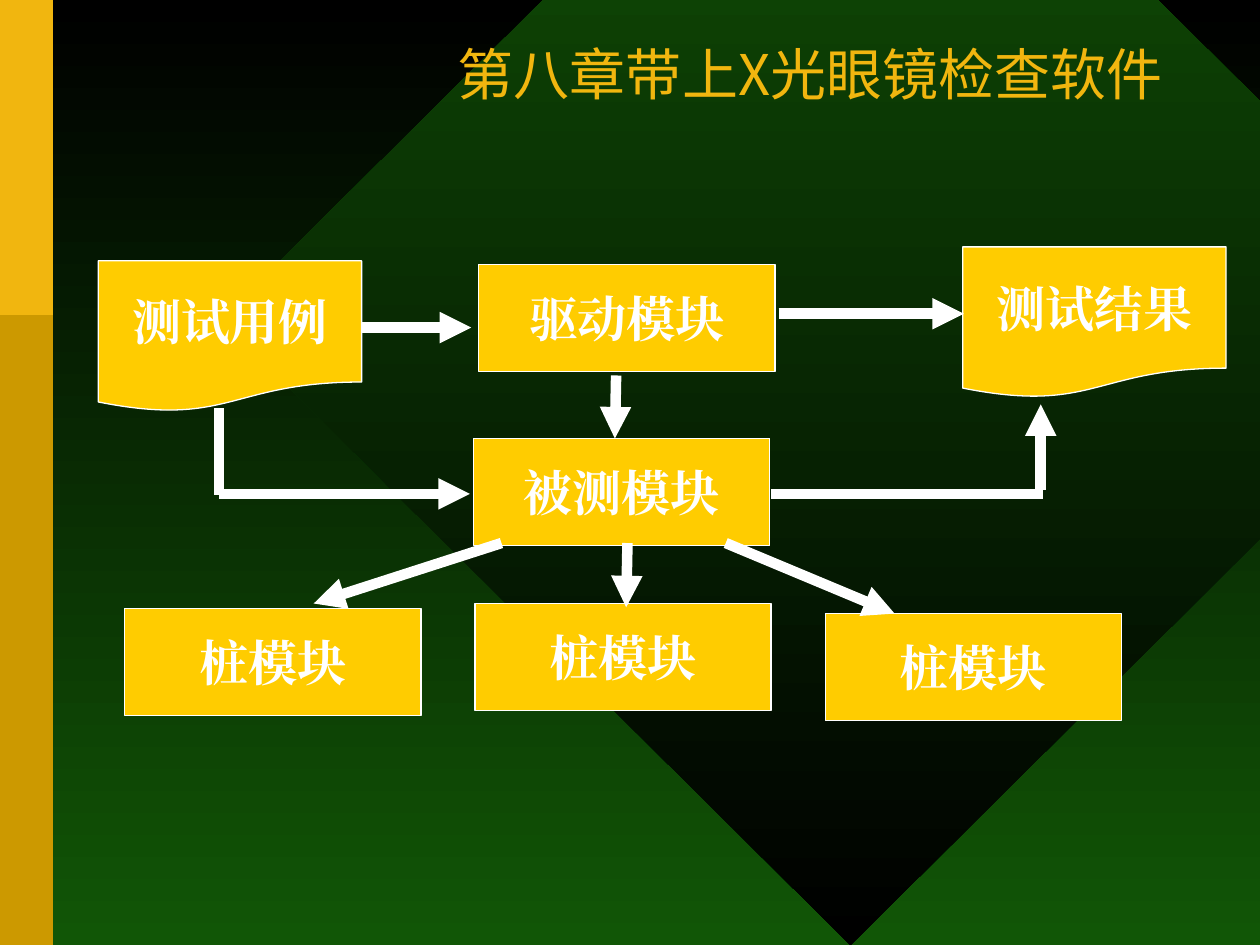
import pptx
import pptx.dml.color
import pptx.enum.shapes
import pptx.enum.text
import pptx.oxml
import pptx.oxml.ns
import pptx.util
from pptx.util import Inches

COLORS = {
    "black": "000000",
    "green": "115606",
    "dark gold": "CC9900",
    "gold": "F1B60F",
    "yellow": "FFCC00",
    "white": "FFFFFF",
}
SHAPE = pptx.enum.shapes.MSO_SHAPE
ALIGN = pptx.enum.text.PP_ALIGN
MIDDLE = pptx.enum.text.MSO_ANCHOR.MIDDLE
DRAWING_NS = pptx.oxml.ns.nsdecls("a")


def rgb(name):
    return pptx.dml.color.RGBColor.from_string(COLORS[name])


def format_text(text_frame, font_name, size, color, bold, alignment):
    text_frame.vertical_anchor = MIDDLE
    paragraph = text_frame.paragraphs[0]
    paragraph.alignment = alignment
    run = paragraph.runs[0]
    run.font.name = font_name
    run.font.size = pptx.util.Pt(size)
    run.font.bold = bold
    run.font.color.rgb = rgb(color)
    east_asian = pptx.oxml.parse_xml(f'<a:ea {DRAWING_NS} typeface="{font_name}"/>')
    run.font._element.find(pptx.oxml.ns.qn("a:latin")).addnext(east_asian)


presentation = pptx.Presentation()
presentation.slide_width = Inches(10)
presentation.slide_height = Inches(7.5)
slide = presentation.slides.add_slide(presentation.slide_layouts[5])

# Background, large diamond and side bars
diamond = slide.shapes.add_shape(
    SHAPE.DIAMOND, Inches(1.75), Inches(-2.42), Inches(10), Inches(9.92))
diamond.shadow.inherit = False
diamond.line.fill.background()
for fill, top_color, bottom_color in (
    (slide.background.fill, "black", "green"),
    (diamond.fill, "green", "black"),
):
    fill.gradient()
    fill.gradient_angle = 270
    for stop, color, position in zip(fill.gradient_stops, (top_color, bottom_color), (0, 1)):
        stop.color.rgb = rgb(color)
        stop.position = position

for height, color in ((7.5, "dark gold"), (2.5, "gold")):
    bar = slide.shapes.add_shape(SHAPE.RECTANGLE, 0, 0, Inches(0.42), Inches(height))
    bar.shadow.inherit = False
    bar.fill.solid()
    bar.fill.fore_color.rgb = rgb(color)
    bar.line.fill.background()

# Title, brought in front of the diamond
title = slide.shapes.title
title.left, title.top = Inches(1.08), Inches(0)
title.width, title.height = Inches(8.25), Inches(1.25)
title.text_frame.text = "第八章带上X光眼镜检查软件"
title.text_frame.paragraphs[0].line_spacing = 0.85
format_text(title.text_frame, "Noto Sans CJK SC", 32, "gold", False, ALIGN.RIGHT)
title.element.getparent().append(title.element)

# Modules and documents: text, preset, left, top
box_sizes = {
    SHAPE.FLOWCHART_PROCESS: (2.35, 0.85),
    SHAPE.FLOWCHART_DOCUMENT: (2.09, 1.2),
}
boxes = (
    ("测试用例", SHAPE.FLOWCHART_DOCUMENT, 0.78, 2.07),
    ("驱动模块", SHAPE.FLOWCHART_PROCESS, 3.8, 2.1),
    ("测试结果", SHAPE.FLOWCHART_DOCUMENT, 7.64, 1.96),
    ("被测模块", SHAPE.FLOWCHART_PROCESS, 3.76, 3.48),
    ("桩模块", SHAPE.FLOWCHART_PROCESS, 0.99, 4.83),
    ("桩模块", SHAPE.FLOWCHART_PROCESS, 3.77, 4.79),
    ("桩模块", SHAPE.FLOWCHART_PROCESS, 6.55, 4.87),
)
for text, preset, left, top in boxes:
    width, height = box_sizes[preset]
    box = slide.shapes.add_shape(
        preset, Inches(left), Inches(top), Inches(width), Inches(height))
    box.shadow.inherit = False
    box.fill.solid()
    box.fill.fore_color.rgb = rgb("yellow")
    box.line.color.rgb = rgb("white")
    box.line.width = pptx.util.Pt(0.75)
    box.text_frame.text = text
    box.text_frame.word_wrap = False
    format_text(box.text_frame, "Times New Roman", 28, "white", True, ALIGN.CENTER)

# Flow lines: start x, start y, end x, end y, arrowhead
flows = (
    (2.87, 2.6, 3.74, 2.6, True),
    (6.18, 2.49, 7.65, 2.49, True),
    (4.89, 2.98, 4.88, 3.48, True),
    (1.74, 3.24, 1.74, 3.93, False),
    (1.74, 3.92, 3.73, 3.92, True),
    (6.12, 3.92, 8.28, 3.92, False),
    (8.26, 3.89, 8.26, 3.21, True),
    (3.98, 4.31, 2.49, 4.79, True),
    (4.98, 4.31, 4.97, 4.82, True),
    (5.76, 4.31, 7.1, 4.87, True),
)
for *points, has_arrowhead in flows:
    flow = slide.shapes.add_connector(
        pptx.enum.shapes.MSO_CONNECTOR.STRAIGHT, *map(Inches, points))
    flow.line.color.rgb = rgb("white")
    flow.line.width = pptx.util.Pt(6)
    if has_arrowhead:
        flow.line._get_or_add_ln().append(
            pptx.oxml.parse_xml(f'<a:tailEnd {DRAWING_NS} type="triangle"/>'))
    flow.element.spPr.append(pptx.oxml.parse_xml(f"<a:effectLst {DRAWING_NS}/>"))

presentation.save("out.pptx")
